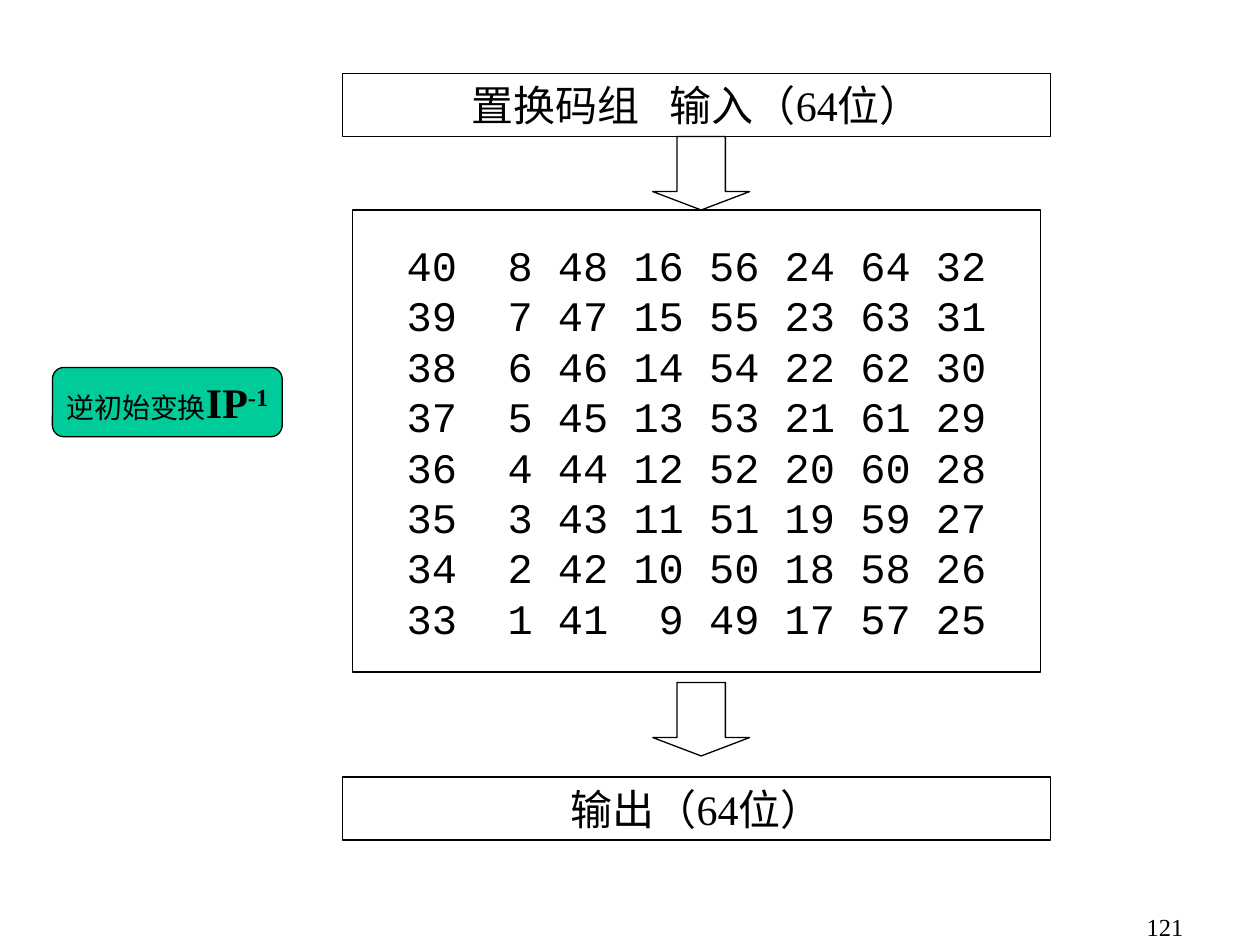
from dataclasses import dataclass

import pptx
import pptx.dml.color
import pptx.enum.shapes
import pptx.enum.text
import pptx.oxml
import pptx.oxml.ns
import pptx.util
from lxml import etree

Pt = pptx.util.Pt
RGBColor = pptx.dml.color.RGBColor
Shape = pptx.enum.shapes.MSO_SHAPE
Align = pptx.enum.text.PP_ALIGN

BLACK = RGBColor(0x00, 0x00, 0x00)
WHITE = RGBColor(0xFF, 0xFF, 0xFF)
GREEN = RGBColor(0x00, 0xCC, 0x99)
SERIF = "Times New Roman"
MONO = "Courier New"

FIRST_ROW = (40, 8, 48, 16, 56, 24, 64, 32)
ROW_COUNT = 8
DIGIT_WIDTH = 14.4
COLUMN_STEP = 3 * DIGIT_WIDTH
NUMBER_WIDTH = 2 * DIGIT_WIDTH
GRID_WIDTH = NUMBER_WIDTH + (len(FIRST_ROW) - 1) * COLUMN_STEP


@dataclass(frozen=True)
class Span:
    text: str
    size: float = 24
    bold: bool = False
    baseline: int = 0
    spacing: float = 0


@dataclass(frozen=True)
class Block:
    left: float
    top: float
    width: float
    height: float
    kind: int = Shape.RECTANGLE
    fill: RGBColor = WHITE
    spans: tuple[Span, ...] = ()


INPUT = Block(195.8, 42, 404.6, 36,
              spans=(Span("置换码组"), Span(" ", spacing=12), Span("输入（64位）")))
MATRIX = Block(201.5, 120, 393.1, 264)
OUTPUT = Block(195.8, 444, 404.6, 36, spans=(Span("输出（64位）"),))
ARROWS = tuple(Block(373, top, 55.4, 42, Shape.DOWN_ARROW) for top in (78, 390))
LABEL = Block(30, 210, 131.3, 39.6, Shape.ROUNDED_RECTANGLE, GREEN,
              (Span("逆初始变换", size=16), Span("IP", bold=True),
               Span("-1", bold=True, baseline=30)))


def set_font(font, name: str, size: float) -> None:
    font.name = name
    font.size = Pt(size)
    font.color.rgb = BLACK


def draw_block(page, block: Block):
    shape = page.shapes.add_shape(block.kind, Pt(block.left), Pt(block.top),
                                  Pt(block.width), Pt(block.height))
    shape.shadow.inherit = False
    shape.fill.solid()
    shape.fill.fore_color.rgb = block.fill
    shape.line.color.rgb = BLACK
    shape.line.width = Pt(0.75)
    if block.kind == Shape.DOWN_ARROW:
        shape.adjustments[0] = 0.5
        shape.adjustments[1] = 0.25
    if block.spans:
        write_spans(shape.text_frame, block.spans)
    return shape


def write_spans(frame, spans: tuple[Span, ...]) -> None:
    frame.word_wrap = False
    frame.vertical_anchor = pptx.enum.text.MSO_ANCHOR.MIDDLE
    para = frame.paragraphs[0]
    para.alignment = Align.CENTER
    set_font(para.font, SERIF, spans[0].size)
    for span in spans:
        run = para.add_run()
        run.text = span.text
        run.font.size = Pt(span.size)
        run.font.bold = span.bold
        properties = run.font._element
        if span.baseline:
            properties.set("baseline", str(span.baseline * 1000))
        if span.spacing:
            properties.set("spc", str(round(span.spacing * 100)))


def add_column_tabs(para) -> None:
    """Right-align every number after the first on its own tab stop."""
    qualify = pptx.oxml.ns.qn
    properties = para._p.get_or_add_pPr()
    tabs = etree.SubElement(properties, qualify("a:tabLst"))
    for column in range(1, len(FIRST_ROW)):
        position = Pt(NUMBER_WIDTH + column * COLUMN_STEP)
        etree.SubElement(tabs, qualify("a:tab"), pos=str(int(position)), algn="r")


def draw_matrix(page, block: Block) -> None:
    frame = draw_block(page, block).text_frame
    frame.word_wrap = True
    frame.vertical_anchor = pptx.enum.text.MSO_ANCHOR.MIDDLE
    frame.margin_left = Pt((block.width - GRID_WIDTH) / 2)
    for row in range(ROW_COUNT):
        para = frame.add_paragraph() if row else frame.paragraphs[0]
        para.alignment = Align.LEFT
        add_column_tabs(para)
        para.add_run().text = "\t".join(str(number - row) for number in FIRST_ROW)
        set_font(para.font, MONO, 24)


def draw_page_number(page, number: str) -> None:
    box = page.shapes.add_textbox(Pt(533.5), Pt(517.7), Pt(149.8), Pt(22))
    box.text_frame.word_wrap = True
    para = box.text_frame.paragraphs[0]
    para.text = number
    para.alignment = Align.RIGHT
    set_font(para.font, SERIF, 14)


def main() -> None:
    deck = pptx.Presentation()
    deck.slide_width, deck.slide_height = Pt(720), Pt(540)
    page = deck.slides.add_slide(deck.slide_layouts.get_by_name("Blank"))
    draw_block(page, INPUT)
    draw_matrix(page, MATRIX)
    for block in (OUTPUT, *ARROWS, LABEL):
        draw_block(page, block)
    draw_page_number(page, "121")
    deck.save("out.pptx")


if __name__ == "__main__":
    main()
